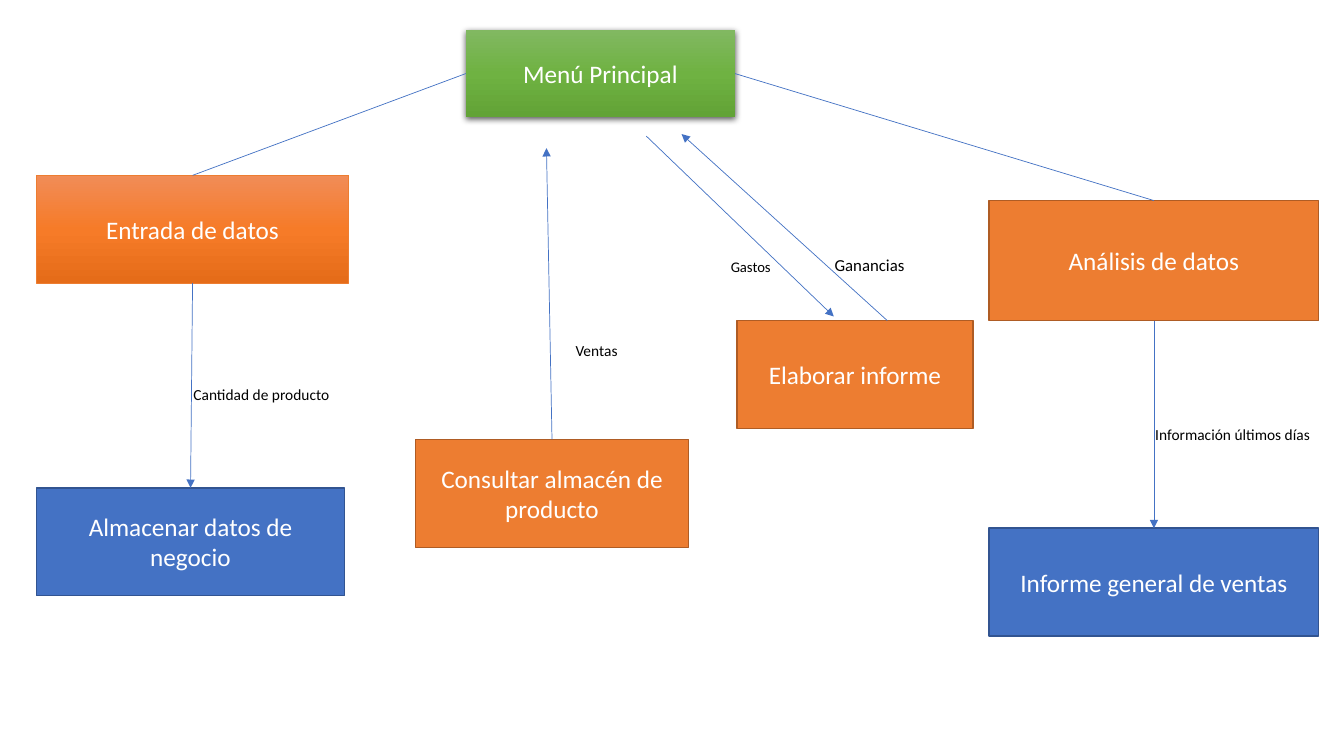
from copy import deepcopy
from lxml.etree import SubElement
from pptx import Presentation
from pptx.dml.color import RGBColor as Rgb
from pptx.enum.shapes import MSO_CONNECTOR as Conn, MSO_SHAPE as Form
from pptx.enum.text import MSO_ANCHOR as Anchor, PP_ALIGN as Align
from pptx.oxml.ns import qn
from pptx.util import Inches, Pt

HUES = {
    "white": "FFFFFF", "black": "000000",
    "blue": "4472C4", "navy": "325491",
    "orange": "ED7D31", "rust": "AF5C24",
}
FADES = {
    "green": ("81B861", "6FB242", "62A336"),
    "amber": ("F18C57", "F67B28", "E56C19"),
}


def hue(name):
    return Rgb.from_string(HUES[name])


def write(shape, text, size, color="black", align=Align.LEFT, anchor=Anchor.TOP):
    frame = shape.text_frame
    frame.word_wrap = True
    frame.vertical_anchor = anchor
    par = frame.paragraphs[0]
    par.alignment = align
    run = par.add_run()
    run.text = text
    run.font.name = "Calibri"
    run.font.size = Pt(size)
    run.font.color.rgb = hue(color)


def fade(shape, tones):
    shape.fill.gradient()
    shape.fill.gradient_angle = 270
    stops = shape._element.spPr.find(qn("a:gradFill")).find(qn("a:gsLst"))
    stops.insert(1, deepcopy(stops[0]))
    for i, (stop, tone) in enumerate(zip(shape.fill.gradient_stops, tones)):
        stop.position = i / 2
        stop.color.rgb = Rgb.from_string(tone)


def cast(shape):
    glow = shape._element.spPr.find(qn("a:effectLst"))
    shade = SubElement(glow, qn("a:outerShdw"), blurRad=str(Pt(4.5)),
                       dist=str(Pt(1.5)), dir="5400000", algn="ctr", rotWithShape="0")
    tone = SubElement(shade, qn("a:srgbClr"), val=HUES["black"])
    SubElement(tone, qn("a:alpha"), val="63000")


def node(slide, box, text, fill="orange", edge="rust", width=1):
    shape = slide.shapes.add_shape(Form.RECTANGLE, *map(Inches, box))
    shape.shadow.inherit = False
    if fill in FADES:
        fade(shape, FADES[fill])
    else:
        shape.fill.solid()
        shape.fill.fore_color.rgb = hue(fill)
    if edge:
        shape.line.color.rgb = hue(edge)
        shape.line.width = Pt(width)
    else:
        shape.line.fill.background()
    write(shape, text, 18, color="white", align=Align.CENTER, anchor=Anchor.MIDDLE)
    return shape


def link(slide, start=(0, 0), end=(0, 0), first=None, last=None, arrow=True):
    line = slide.shapes.add_connector(Conn.STRAIGHT, *map(Inches, (*start, *end)))
    if first:
        line.begin_connect(*first)
    if last:
        line.end_connect(*last)
    line.line.color.rgb = hue("blue")
    line.line.width = Pt(0.5)
    props = line._element.spPr
    if arrow:
        SubElement(props.find(qn("a:ln")), qn("a:tailEnd"), type="triangle")
    SubElement(props, qn("a:effectLst"))


def label(slide, box, text, size=11):
    write(slide.shapes.add_textbox(*map(Inches, box)), text, size)


def root(slide, box):
    menu = node(slide, box, "Menú Principal", fill="green", edge=None)
    cast(menu)
    return menu


def entry(slide, box, menu):
    x, y, w, h = box
    top = node(slide, (x, y, w, 1.07), "Entrada de datos",
               fill="amber", edge="orange", width=0.5)
    base = node(slide, (x, y + h - 1.07, w - 0.04, 1.07),
                "Almacenar datos de negocio", fill="blue", edge="navy")
    link(slide, first=(top, 2), last=(base, 0))
    link(slide, first=(menu, 1), last=(top, 0), arrow=False)
    label(slide, (x + 1.46, y + 2.03, 1.63, 0.29), "Cantidad de producto")


def study(slide, box, menu):
    x, y, w, h = box
    top = node(slide, (x, y, w, 1.19), "Análisis de datos")
    base = node(slide, (x, y + h - 1.07, w, 1.07),
                "Informe general de ventas", fill="blue", edge="navy")
    link(slide, first=(menu, 3), last=(top, 0), arrow=False)
    link(slide, first=(top, 2), last=(base, 0))
    label(slide, (x + 1.55, y + 2.18, 1.8, 0.29), "Información últimos días")


def report(slide, box):
    x, y, w, h = box
    node(slide, box, "Elaborar informe")
    link(slide, (x - 0.9, y - 1.83), (x + 0.96, y - 0.04))
    link(slide, (x + 1.49, y), (x - 0.55, y - 1.85))
    label(slide, (x + 0.87, y - 0.7, 1.33, 0.3), "Ganancias", size=12)
    label(slide, (x - 0.16, y - 0.67, 0.84, 0.28), "Gastos", size=10.5)


def stock(slide, box):
    x, y, w, h = box
    store = node(slide, box, "Consultar almacén de producto")
    link(slide, end=(x + 1.3, y - 2.89), first=(store, 0))
    label(slide, (x + 1.49, y - 1.03, 1.16, 0.29), "Ventas")


def main():
    deck = Presentation()
    deck.slide_width = Inches(13.33)
    deck.slide_height = Inches(7.5)
    slide = deck.slides.add_slide(deck.slide_layouts[6])
    menu = root(slide, (4.62, 0.3, 2.67, 0.86))
    entry(slide, (0.36, 1.74, 3.1, 4.17), menu)
    study(slide, (9.81, 1.99, 3.27, 4.32), menu)
    report(slide, (7.31, 3.18, 2.34, 1.07))
    stock(slide, (4.12, 4.36, 2.71, 1.07))
    deck.save("out.pptx")


if __name__ == "__main__":
    main()
